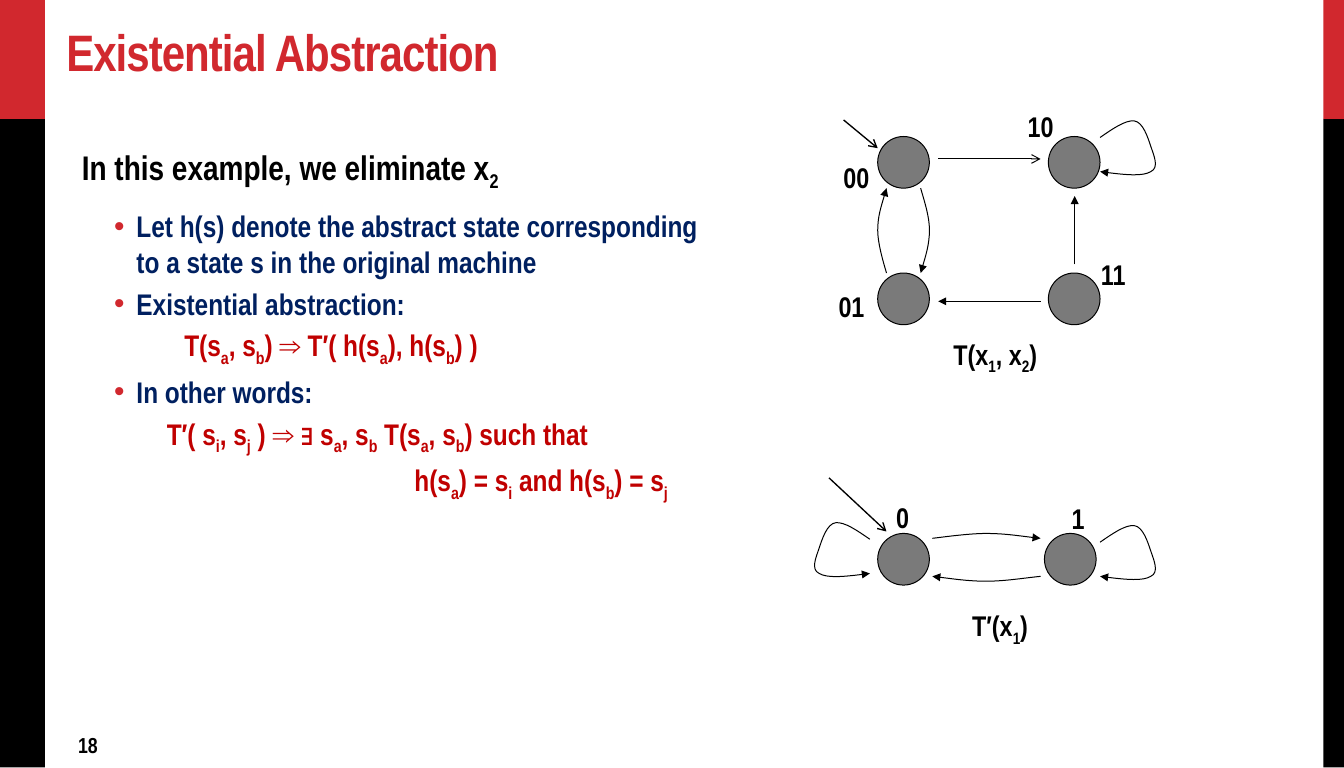
"""Build the Existential Abstraction slide with its two state machines."""
from lxml.etree import SubElement
from pptx import Presentation
from pptx.dml.color import RGBColor
from pptx.enum.shapes import MSO_CONNECTOR, MSO_SHAPE
from pptx.enum.text import MSO_ANCHOR, PP_ALIGN
from pptx.oxml.ns import qn
from pptx.util import Inches, Pt

RED = RGBColor(0xD1, 0x28, 0x2E)
BLACK = RGBColor(0, 0, 0)
NAVY = RGBColor(0x00, 0x20, 0x60)
FORMULA_RED = RGBColor(0xC0, 0, 0)
STATE_GRAY = RGBColor(0x7A, 0x7A, 0x7A)
FONT = "Arial Narrow"
SLIDE_HEIGHT = Inches(63 / 8)
SLIDE_WIDTH = SLIDE_HEIGHT * 7 // 4
STATE_SIZE = 0.53
BODY_INSETS = (0.11, 0.06)
LABEL_INSETS = (0.1, 0.05)

LOOP = [(0, 0), (0.13, -0.09), (0.26, -0.18), (0.35, -0.17), (0.44, -0.16),
        (0.49, 0), (0.52, 0.09), (0.55, 0.18), (0.61, 0.31), (0.52, 0.35),
        (0.44, 0.4), (0.22, 0.38), (0, 0.35)]
DOWN_BOW = [(0, 0), (0.04, 0.14), (0.09, 0.29), (0.09, 0.43), (0.09, 0.58),
            (0.02, 0.8), (0, 0.87)]
LEFT_BOW = [(0, 0), (-0.19, 0.02), (-0.37, 0.05), (-0.56, 0.05), (-0.74, 0.05),
            (-1.02, 0.01), (-1.11, 0)]

BODY = [
    ("In this example, we eliminate x_2", 25.2, BLACK, 0, False),
    ("Let h(s) denote the abstract state corresponding to a state s "
     "in the original machine", 22, NAVY, 0.56, True),
    ("Existential abstraction:", 22, NAVY, 0.56, True),
    ("T(s_a, s_b) ⇒ T′( h(s_a), h(s_b) )", 22, FORMULA_RED, 1.05, False),
    ("In other words:", 22, NAVY, 0.56, True),
    ("T′( s_i, s_j ) ⇒ ∃ s_a, s_b T(s_a, s_b) such that", 22, FORMULA_RED, 0.87, False),
    ("h(s_a) = s_i and h(s_b) = s_j", 22, FORMULA_RED, 3.41, False),
]


def add_text_frame(slide, box, insets, wrap=True):
    """Add a text box and return its text frame."""
    frame = slide.shapes.add_textbox(*map(Inches, box)).text_frame
    frame.word_wrap = wrap
    frame.margin_left = frame.margin_right = Inches(insets[0])
    frame.margin_top = frame.margin_bottom = Inches(insets[1])
    return frame


def write(paragraph, text, size, color):
    """Fill a paragraph; the character after an underscore is a subscript."""
    first, *rest = text.split("_")
    paragraph.add_run().text = first
    for part in rest:
        subscript = paragraph.add_run()
        subscript.text = part[0]
        subscript._r.get_or_add_rPr().set("baseline", "-25000")
        if part[1:]:
            paragraph.add_run().text = part[1:]
    font = paragraph.font
    font.name, font.size, font.bold = FONT, Pt(size), True
    font.color.rgb = color


def add_bullet(paragraph):
    """Give a paragraph a red round bullet."""
    properties = paragraph._p.get_or_add_pPr()
    color = SubElement(properties, qn("a:buClr"))
    SubElement(color, qn("a:srgbClr")).set("val", str(RED))
    SubElement(properties, qn("a:buFont")).set("typeface", "Arial")
    SubElement(properties, qn("a:buChar")).set("char", "•")


def style_line(shape, width=0.75, arrow=None, end="tailEnd"):
    """Draw a black line, with an arrowhead at the chosen end."""
    shape.line.color.rgb = BLACK
    shape.line.width = Pt(width)
    if arrow:
        SubElement(shape.line._get_or_add_ln(), qn(f"a:{end}")).set("type", arrow)


def add_arrow(slide, start, end, arrow="triangle", width=0.75):
    """Add a straight arrow."""
    connector = slide.shapes.add_connector(
        MSO_CONNECTOR.STRAIGHT, *map(Inches, (*start, *end)))
    style_line(connector, width, arrow)
    SubElement(connector._element.spPr, qn("a:effectLst"))


def add_curve(slide, anchor, offsets, flip=(1, 1), end="tailEnd"):
    """Add a curved arrow whose offsets are cubic Bézier points."""
    points = [(Inches(anchor[0] + flip[0] * x), Inches(anchor[1] + flip[1] * y))
              for x, y in offsets]
    builder = slide.shapes.build_freeform(*points[0])
    builder.add_line_segments(points[1:], close=False)
    curve = builder.convert_to_shape()
    outline = next(curve._element.iter(qn("a:path")))
    segments = outline.findall(qn("a:lnTo"))
    for index in range(0, len(segments), 3):
        bezier = SubElement(outline, qn("a:cubicBezTo"))
        for segment in segments[index:index + 3]:
            bezier.append(segment[0])
            outline.remove(segment)
    curve.fill.background()
    curve.shadow.inherit = False
    style_line(curve, arrow="triangle", end=end)


def add_state(slide, left, top):
    """Add one state circle."""
    state = slide.shapes.add_shape(
        MSO_SHAPE.OVAL, *map(Inches, (left, top, STATE_SIZE, STATE_SIZE)))
    state.fill.solid()
    state.fill.fore_color.rgb = STATE_GRAY
    state.shadow.inherit = False
    style_line(state)


def add_label(slide, box, text, align=PP_ALIGN.LEFT):
    """Add a state name or machine caption."""
    paragraph = add_text_frame(slide, box, LABEL_INSETS, wrap=False).paragraphs[0]
    paragraph.alignment = align
    write(paragraph, text, 21, BLACK)


def add_side_bar(slide, left, top, width):
    """Add a black side bar with a red top."""
    for offset, height, color in ((1.22, 6.65, BLACK), (0, 1.22, RED)):
        bar = slide.shapes.add_shape(
            MSO_SHAPE.RECTANGLE, *map(Inches, (left, top + offset, width, height)))
        bar.fill.solid()
        bar.fill.fore_color.rgb = color
        bar.line.fill.background()
        bar.shadow.inherit = False


def add_title(slide, box):
    """Add the slide title."""
    frame = add_text_frame(slide, box, BODY_INSETS)
    frame.vertical_anchor = MSO_ANCHOR.BOTTOM
    paragraph = frame.paragraphs[0]
    write(paragraph, "Existential Abstraction", 37.8, RED)
    paragraph.runs[0]._r.get_or_add_rPr().set("spc", "-70")


def add_body(slide, box):
    """Add the explanation with its bullets and formulas."""
    frame = add_text_frame(slide, box, BODY_INSETS)
    for index, (text, size, color, indent, bulleted) in enumerate(BODY):
        paragraph = frame.add_paragraph() if index else frame.paragraphs[0]
        properties = paragraph._p.get_or_add_pPr()
        properties.set("marL", str(Inches(indent)))
        properties.set("indent", str(Inches(-0.23 if bulleted else 0)))
        if bulleted:
            add_bullet(paragraph)
        if index:
            paragraph.space_before = Pt(4.4)
        else:
            paragraph.space_after = Pt(6.8)
        write(paragraph, text, size, color)


def add_concrete_machine(slide, left, top):
    """Add the four-state machine, placed by its first state."""
    def at(x, y):
        return left + x, top + y

    for x in (0, 1.75):
        for y in (0, 1.4):
            add_state(slide, *at(x, y))
    add_curve(slide, at(0.44, 0.53), DOWN_BOW)
    add_curve(slide, at(0.09, 0.53), DOWN_BOW, (-1, 1), "headEnd")
    add_curve(slide, at(2.28, 0.01), LOOP)
    add_arrow(slide, at(2.02, 1.31), at(2.02, 0.61))
    add_arrow(slide, at(1.67, 1.69), at(0.62, 1.69))
    add_arrow(slide, at(0.62, 0.23), at(1.67, 0.23), "arrow")
    add_arrow(slide, at(-0.35, -0.17), at(0, 0.12), "arrow", 1)
    for name, x, y in (("00", -0.45, 0.19), ("01", -0.5, 1.51),
                       ("10", 1.44, -0.33), ("11", 2.19, 1.19)):
        add_label(slide, (*at(x, y), 0.47, 0.45), name)
    add_label(slide, (*at(0.66, 2.01), 1.09, 0.45), "T(x_1, x_2)", PP_ALIGN.CENTER)


def add_abstract_machine(slide, left, top):
    """Add the two-state machine, placed by its first state."""
    def at(x, y):
        return left + x, top + y

    for name, x, label_x, label_y in (("0", 0, 0.09, -0.39), ("1", 1.71, 1.89, -0.38)):
        add_state(slide, *at(x, 0))
        add_label(slide, (*at(label_x, label_y), 0.34, 0.45), name)
    add_curve(slide, at(1.67, 0.44), LEFT_BOW)
    add_curve(slide, at(1.67, 0.05), LEFT_BOW, (1, -1), "headEnd")
    add_curve(slide, at(2.28, 0.09), LOOP)
    add_curve(slide, at(-0.08, 0.06), LOOP, (-1, 1))
    add_arrow(slide, at(-0.5, -0.57), at(0.09, -0.02), "arrow", 1)
    add_label(slide, (*at(0.85, 0.72), 0.81, 0.45), "T′(x_1)", PP_ALIGN.CENTER)


def main():
    """Build and save the slide."""
    presentation = Presentation()
    presentation.slide_width, presentation.slide_height = SLIDE_WIDTH, SLIDE_HEIGHT
    slide = presentation.slides.add_slide(presentation.slide_layouts[6])
    add_side_bar(slide, 13.57, 0, 0.21)
    add_side_bar(slide, 0, 0, 0.46)
    add_title(slide, (0.57, 0.18, 12.86, 0.72))
    add_body(slide, (0.73, 1.44, 6.65, 4.86))
    number = add_text_frame(slide, (0.69, 7.44, 8.38, 0.34), BODY_INSETS)
    write(number.paragraphs[0], "18", 16, BLACK)
    add_concrete_machine(slide, 9, 1.4)
    add_abstract_machine(slide, 9, 5.47)
    presentation.save("out.pptx")


if __name__ == "__main__":
    main()
